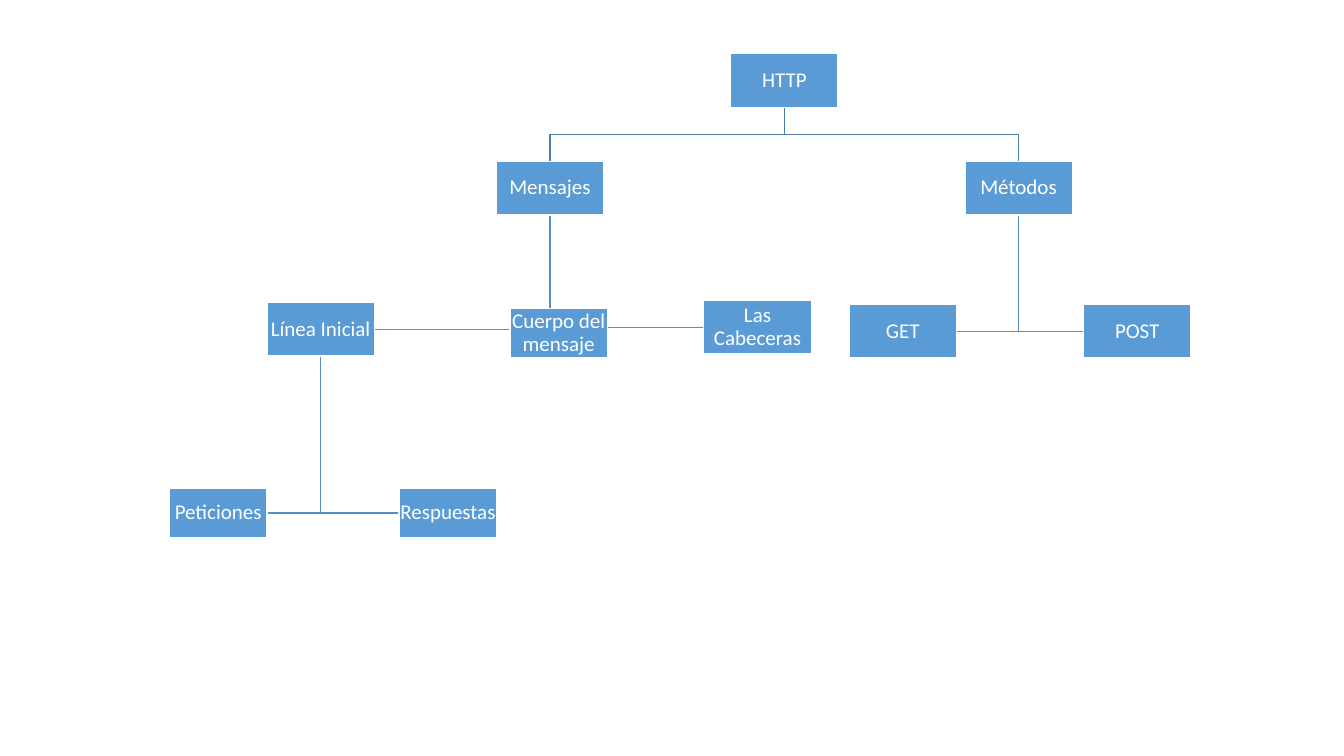
"""Builds a slide with the hierarchy of HTTP messages and methods."""
from pptx import Presentation
from pptx.dml.color import RGBColor
from pptx.enum.shapes import MSO_SHAPE as Shape
from pptx.enum.text import MSO_ANCHOR as Anchor, PP_ALIGN as Align
from pptx.util import Cm, Pt

WHITE = RGBColor(0xFF, 0xFF, 0xFF)
BLUE = RGBColor(0x5B, 0x9B, 0xD5)
FORK_BLUE = RGBColor(0x49, 0x7C, 0xAB)
BRANCH_BLUE = RGBColor(0x53, 0x8D, 0xC1)

LARGE = (2.71, 1.35)
SMALL = (2.46, 1.23)
INSET = 0.03

CONCEPTS = {
    "HTTP": (19.77, 2.03, LARGE),
    "Mensajes": (13.86, 4.74, LARGE),
    "Línea Inicial": (8.08, 8.3, LARGE),
    "Peticiones": (5.5, 12.93, SMALL),
    "Respuestas": (11.29, 12.93, SMALL),
    "Las Cabeceras": (19.09, 8.25, LARGE),
    "Cuerpo del mensaje": (14.08, 8.39, SMALL),
    "Métodos": (25.67, 4.74, LARGE),
    "GET": (22.75, 8.35, LARGE),
    "POST": (28.66, 8.35, LARGE),
}
BRANCHES = [
    ("Métodos", "POST"),
    ("Métodos", "GET"),
    ("Mensajes", "Las Cabeceras"),
    ("Línea Inicial", "Respuestas"),
    ("Línea Inicial", "Peticiones"),
    ("Mensajes", "Línea Inicial"),
]
FORKS = [("HTTP", "Métodos"), ("HTTP", "Mensajes")]


def branch_route(parent, child):
    """Go down from the parent, then sideways to the child's near edge."""
    x, y, (_, height) = CONCEPTS[parent]
    child_x, child_y, (child_width, _) = CONCEPTS[child]
    near_edge = child_x - child_width / 2 if child_x > x else child_x + child_width / 2
    return [(x, y + height / 2), (x, child_y), (near_edge, child_y)]


def fork_route(parent, child):
    """Go down from the parent and turn halfway towards the child's top."""
    x, y, (_, height) = CONCEPTS[parent]
    child_x, child_y, (_, child_height) = CONCEPTS[child]
    bottom, top = y + height / 2, child_y - child_height / 2
    turn = (bottom + top) / 2
    return [(x, bottom), (x, turn), (child_x, turn), (child_x, top)]


def draw_route(slide, route, color):
    """Draw an open line through the points of a route."""
    start, *stops = [(Cm(x), Cm(y)) for x, y in route]
    builder = slide.shapes.build_freeform(*start)
    builder.add_line_segments(stops, close=False)
    link = builder.convert_to_shape()
    link.shadow.inherit = False
    link.fill.background()
    link.line.color.rgb = color
    link.line.width = Pt(1)


def draw_concept(slide, label, x, y, size):
    """Draw a labelled box centred on a point."""
    width, height = size
    box = slide.shapes.add_shape(
        Shape.RECTANGLE, Cm(x - width / 2), Cm(y - height / 2), Cm(width), Cm(height))
    box.shadow.inherit = False
    box.fill.solid()
    box.fill.fore_color.rgb = BLUE
    box.line.color.rgb = WHITE
    box.line.width = Pt(1)
    frame = box.text_frame
    frame.word_wrap = True
    frame.vertical_anchor = Anchor.MIDDLE
    frame.margin_left = frame.margin_right = Cm(INSET)
    frame.margin_top = frame.margin_bottom = Cm(INSET)
    paragraph = frame.paragraphs[0]
    paragraph.alignment = Align.CENTER
    paragraph.line_spacing = 0.9
    run = paragraph.add_run()
    run.text = label
    run.font.name = "Calibri"
    run.font.size = Pt(15)
    run.font.color.rgb = WHITE


def main():
    """Assemble and save the slide."""
    deck = Presentation()
    deck.slide_width, deck.slide_height = Cm(33.87), Cm(19.05)
    slide = deck.slides.add_slide(deck.slide_layouts.get_by_name("Blank"))
    for parent, child in BRANCHES:
        draw_route(slide, branch_route(parent, child), BRANCH_BLUE)
    for parent, child in FORKS:
        draw_route(slide, fork_route(parent, child), FORK_BLUE)
    for label, (x, y, size) in CONCEPTS.items():
        draw_concept(slide, label, x, y, size)
    deck.save("out.pptx")


if __name__ == "__main__":
    main()
